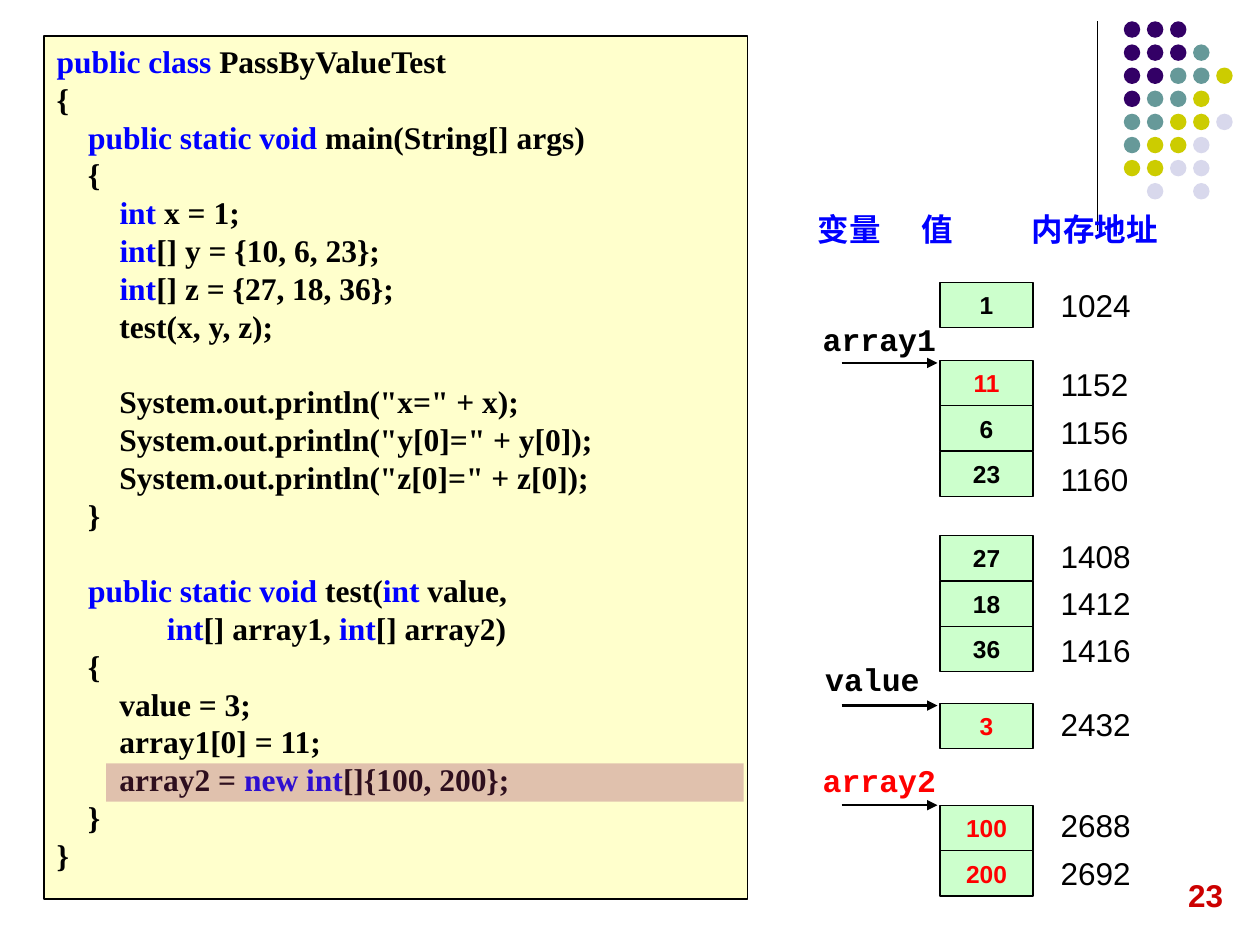
from lxml import etree
from pptx import Presentation
from pptx.dml.color import RGBColor
from pptx.enum.shapes import MSO_CONNECTOR, MSO_SHAPE
from pptx.enum.text import MSO_ANCHOR, MSO_AUTO_SIZE, PP_ALIGN
from pptx.oxml.ns import qn
from pptx.util import Pt

RECTANGLE = MSO_SHAPE.RECTANGLE
OVAL = MSO_SHAPE.OVAL
STRAIGHT = MSO_CONNECTOR.STRAIGHT
LEFT, CENTER = PP_ALIGN.LEFT, PP_ALIGN.CENTER
TOP, MIDDLE = MSO_ANCHOR.TOP, MSO_ANCHOR.MIDDLE
FIT_SHAPE = MSO_AUTO_SIZE.SHAPE_TO_FIT_TEXT

BLACK = RGBColor(0x00, 0x00, 0x00)
BLUE = RGBColor(0x00, 0x00, 0xFF)
RED = RGBColor(0xFF, 0x00, 0x00)
DARK_RED = RGBColor(0xCC, 0x00, 0x00)
CELL_GREEN = RGBColor(0xCC, 0xFF, 0xCC)
CODE_YELLOW = RGBColor(0xFF, 0xFF, 0xCC)
HIGHLIGHT = RGBColor(0x99, 0x33, 0x66)
DOT_COLORS = {
    "P": RGBColor(0x33, 0x00, 0x66),
    "T": RGBColor(0x66, 0x99, 0x99),
    "Y": RGBColor(0xCC, 0xCC, 0x00),
    "L": RGBColor(0xD8, 0xD8, 0xEC),
}
DOT_ROWS = ["PPP", "PPPT", "PPTTY", "PTTY", "TTYYL", "TYYL", "YYLL", " L L"]

# Keywords stand between bars.
CODE = """|public class| PassByValueTest
{
    |public static void| main(String[] args)
    {
        |int| x = 1;
        |int|[] y = {10, 6, 23};
        |int|[] z = {27, 18, 36};
        test(x, y, z);

        System.out.println("x=" + x);
        System.out.println("y[0]=" + y[0]);
        System.out.println("z[0]=" + z[0]);
    }

    |public static void| test(|int| value,
              |int|[] array1, |int|[] array2)
    {
        value = 3;
        array1[0] = 11;
        array2 = |new int|[]{100, 200};
    }
}"""

# Cell top, address top, then value, value colour and address of each cell
MEMORY_BLOCKS = [
    (161.3, 159.8, [("1", BLACK, "1024")]),
    (205.9, 205.2, [("11", RED, "1152"), ("6", BLACK, "1156"), ("23", BLACK, "1160")]),
    (306, 303.1, [("27", BLACK, "1408"), ("18", BLACK, "1412"), ("36", BLACK, "1416")]),
    (401.8, 399.6, [("3", RED, "2432")]),
    (460.1, 457.2, [("100", RED, "2688"), ("200", RED, "2692")]),
]
# Name, colour, left, top, width, arrow height on the slide
POINTERS = [
    ("array1", BLACK, 463, 179.3, 79.2, 207.4),
    ("value", BLACK, 464.4, 373.7, 68.4, 403.2),
    ("array2", RED, 463, 431.3, 79.2, 460.1),
]
CELL_HEIGHT = 25.95
ADDRESS_PITCH = 27
DOT_PITCH = 13.2
CODE_LINE = 21.6


class SlideBuilder:
    body_font = "Arial"
    code_font = "Times New Roman"
    label_font = "Courier New"
    text_size = 18
    cell_size = 14
    outline = 0.75

    def __init__(self, slide):
        self.slide = slide

    def style(self, font, name, size, color, bold):
        font.name, font.size, font.bold = name, Pt(size), bold
        font.color.rgb = color

    def shape(self, kind, left, top, width, height, fill, outlined=False):
        shape = self.slide.shapes.add_shape(kind, Pt(left), Pt(top), Pt(width), Pt(height))
        shape.shadow.inherit = False
        shape.fill.solid()
        shape.fill.fore_color.rgb = fill
        if outlined:
            shape.line.color.rgb = BLACK
            shape.line.width = Pt(self.outline)
        else:
            shape.line.fill.background()
        return shape

    def text(self, text, left, top, width, color=BLACK, bold=True, font=None, wrap=False):
        box = self.slide.shapes.add_textbox(Pt(left), Pt(top), Pt(width), Pt(28.8))
        frame = box.text_frame
        frame.word_wrap = wrap
        frame.auto_size = FIT_SHAPE
        frame.text = text
        paragraph = frame.paragraphs[0]
        self.style(paragraph.runs[0].font, font or self.body_font, self.text_size, color, bold)
        return paragraph

    def cell(self, value, top, color):
        shape = self.shape(RECTANGLE, 537.1, top, 53.3, CELL_HEIGHT, CELL_GREEN, True)
        frame = shape.text_frame
        frame.word_wrap = False
        frame.vertical_anchor = MIDDLE
        frame.text = value
        paragraph = frame.paragraphs[0]
        paragraph.alignment = CENTER
        self.style(paragraph.runs[0].font, self.body_font, self.cell_size, color, True)

    def line(self, x1, y1, x2, y2, width, arrow=False):
        line = self.slide.shapes.add_connector(STRAIGHT, Pt(x1), Pt(y1), Pt(x2), Pt(y2))
        line.line.color.rgb = BLACK
        line.line.width = Pt(width)
        properties = line.element.spPr
        if arrow:
            etree.SubElement(properties.find(qn("a:ln")), qn("a:tailEnd"), type="triangle")
        etree.SubElement(properties, qn("a:effectLst"))

    def header(self, titles, left, top, width, tab_stops):
        paragraph = self.text("\t".join(titles), left, top, width, BLUE, wrap=True)
        tab_list = etree.SubElement(paragraph._p.get_or_add_pPr(), qn("a:tabLst"))
        for stop in tab_stops:
            etree.SubElement(tab_list, qn("a:tab"), pos=str(Pt(stop)), algn="l")

    def code(self, code, left, top, width, height):
        shape = self.shape(RECTANGLE, left, top, width, height, CODE_YELLOW, True)
        frame = shape.text_frame
        frame.word_wrap = False
        frame.vertical_anchor = TOP
        paragraph = frame.paragraphs[0]
        for block_index, block in enumerate(code.split("\n\n")):
            for line_index, line in enumerate(block.split("\n")):
                if block_index or line_index:
                    paragraph = frame.add_paragraph()
                if block_index and not line_index:
                    paragraph.space_before = Pt(CODE_LINE)
                paragraph.alignment = LEFT
                paragraph.line_spacing = Pt(CODE_LINE)
                self.code_line(paragraph, line)

    def code_line(self, paragraph, line):
        for index, part in enumerate(line.split("|")):
            if part:
                run = paragraph.add_run()
                run.text = part
                color = BLUE if index % 2 else BLACK
                self.style(run.font, self.code_font, self.text_size, color, True)

    def dots(self, left, top):
        for row, marks in enumerate(DOT_ROWS):
            for column, mark in enumerate(marks):
                if mark in DOT_COLORS:
                    self.shape(OVAL, left + column * DOT_PITCH, top + row * DOT_PITCH,
                               9.4, 9.4, DOT_COLORS[mark])

    def highlight(self, left, top, width, height, opacity):
        bar = self.shape(RECTANGLE, left, top, width, height, HIGHLIGHT)
        color = bar.element.spPr.find(qn("a:solidFill"))[0]
        etree.SubElement(color, qn("a:alpha"), val=str(opacity * 1000))


def main():
    presentation = Presentation()
    presentation.slide_width, presentation.slide_height = Pt(720), Pt(540)
    builder = SlideBuilder(presentation.slides.add_slide(presentation.slide_layouts[6]))

    builder.line(627.1, 12.2, 627.1, 131.8, 0.75)
    builder.dots(642.2, 12.2)
    builder.text("23", 671.8, 496.8, 34.6, DARK_RED)

    builder.header(["变量", "值", "内存地址"], 460.1, 116.6, 242.6, [59.5, 122.5])
    for cell_top, address_top, cells in MEMORY_BLOCKS:
        for index, (value, color, address) in enumerate(cells):
            builder.cell(value, cell_top + index * CELL_HEIGHT, color)
            builder.text(address, 599, address_top + index * ADDRESS_PITCH, 54.7, bold=False)
    for name, color, left, top, width, arrow_y in POINTERS:
        builder.line(481, arrow_y, 535.7, arrow_y, 1.5, arrow=True)
        builder.text(name, left, top, width, color, font=builder.label_font)

    builder.code(CODE, 25.2, 20.5, 401.8, 493.2)
    builder.highlight(60.7, 436.2, 364.3, 21.9, 30)
    presentation.save("out.pptx")


if __name__ == "__main__":
    main()
